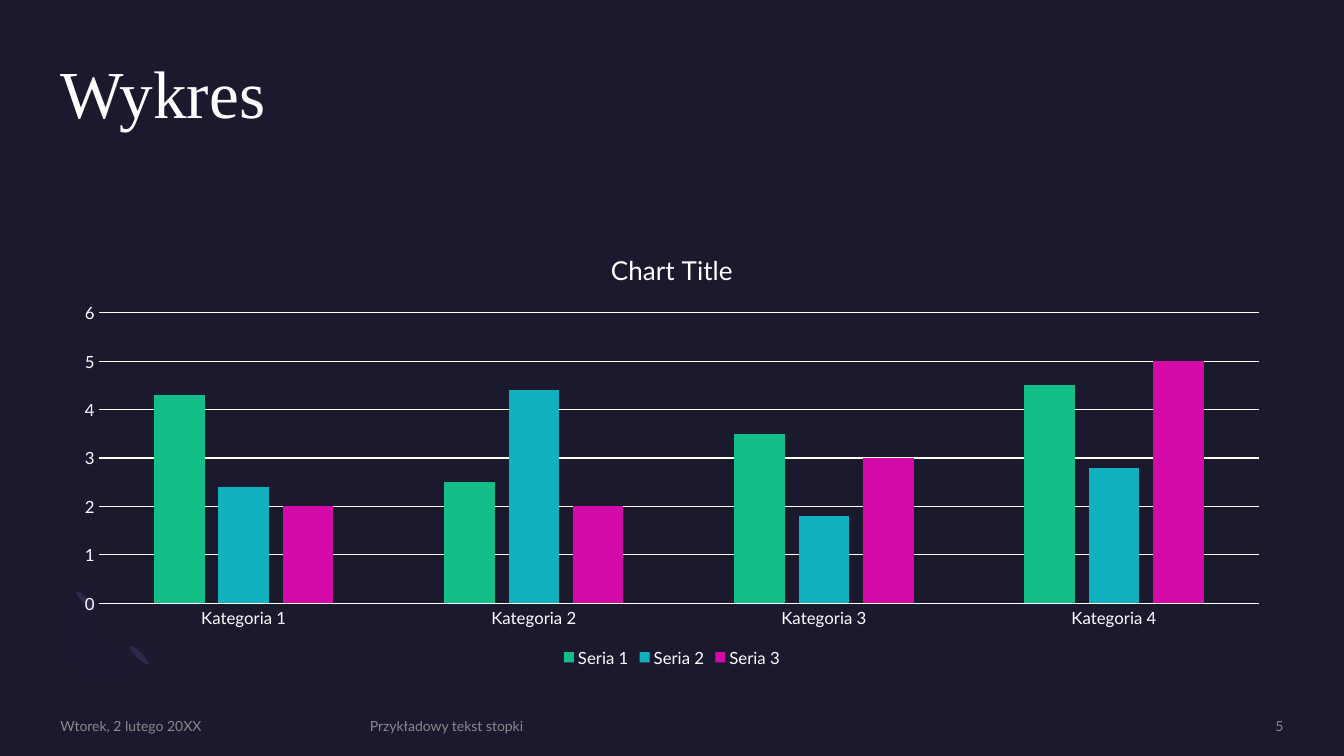
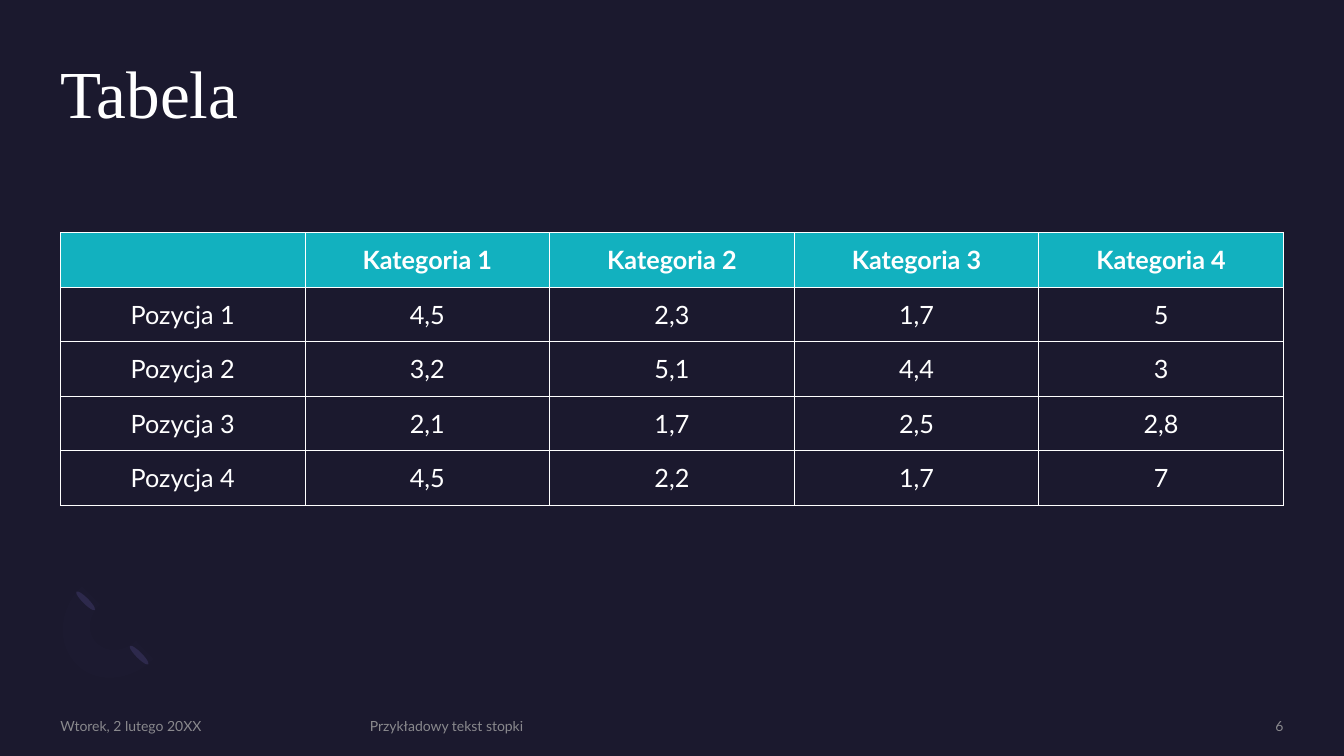
"""Builds a chart slide and a table slide on one dark layout."""
import dataclasses
import typing

import lxml.etree
import pptx
import pptx.chart.data
import pptx.dml.color
import pptx.enum.chart
import pptx.enum.shapes
import pptx.enum.text
import pptx.oxml.ns
import pptx.presentation
import pptx.shapes.autoshape
import pptx.shapes.group
import pptx.slide
import pptx.table
import pptx.text.text
import pptx.util

Pt = pptx.util.Pt
qn = pptx.oxml.ns.qn
Align = pptx.enum.text.PP_ALIGN
Anchor = pptx.enum.text.MSO_ANCHOR
Point = tuple[float, float]

BACKGROUND, WHITE, GRAY = "1B192E", "FFFFFF", "A6A6A6"
GREEN, TEAL, MAGENTA = "13BE89", "12B1BF", "D40AA8"
PETAL, RING = "2C284A", "7771B2"
BODY_FONT, TITLE_FONT = "Lato", "Times New Roman"
SLIDE_WIDTH, SLIDE_HEIGHT = 960, 540
MARGIN = 43.2
CONTENT_WIDTH = SLIDE_WIDTH - 2 * MARGIN
CONTENT_TOP, CHART_HEIGHT, ROW_HEIGHT = 166.3, 313.2, 38.9
RULE_WIDTH = 0.75


@dataclasses.dataclass(frozen=True)
class Box:
    left: float
    top: float
    width: float
    height: float

    def lengths(self) -> list[pptx.util.Length]:
        return [Pt(value) for value in dataclasses.astuple(self)]


@dataclasses.dataclass(frozen=True)
class FooterItem:
    box: Box
    text: str
    align: Align = Align.LEFT


@dataclasses.dataclass(frozen=True)
class Series:
    name: str
    values: tuple[float, ...]
    color: str


TITLE_BOX = Box(MARGIN, MARGIN, CONTENT_WIDTH, 105.1)
FOOTER_TOP, FOOTER_HEIGHT = 512.6, 12.2
PETALS = [Box(97.2, 458.6, 4.3, 18.7), Box(59, 419.8, 4.3, 18.7)]
RING_START = (54.7, 474.5)
RING_SEGMENTS: list[tuple[Point, ...]] = [
    ((40.3, 460.1), (41.8, 435.6), (58.3, 419)),
    ((71.3, 432),),
    ((62.6, 439.9), (61.9, 452.9), (69.1, 459.4)),
    ((76.3, 466.6), (88.6, 465.8), (97.2, 457.9)),
    ((109.4, 470.9),),
    ((93.6, 486.7), (68.4, 488.9), RING_START),
]
CATEGORIES = [f"Kategoria {number}" for number in range(1, 5)]
SERIES = [
    Series("Seria 1", (4.3, 2.5, 3.5, 4.5), GREEN),
    Series("Seria 2", (2.4, 4.4, 1.8, 2.8), TEAL),
    Series("Seria 3", (2, 2, 3, 5), MAGENTA),
]
TABLE_ROWS = [
    ["", *CATEGORIES],
    ["Pozycja 1", "4,5", "2,3", "1,7", "5"],
    ["Pozycja 2", "3,2", "5,1", "4,4", "3"],
    ["Pozycja 3", "2,1", "1,7", "2,5", "2,8"],
    ["Pozycja 4", "4,5", "2,2", "1,7", "7"],
]


def rgb(color: str) -> pptx.dml.color.RGBColor:
    return pptx.dml.color.RGBColor.from_string(color)


def paint(target: typing.Any, color: str) -> None:
    target.fill.solid()
    target.fill.fore_color.rgb = rgb(color)


def style_font(font: pptx.text.text.Font, size: float, color: str = WHITE,
               name: str = BODY_FONT, bold: bool = False) -> None:
    font.size, font.name, font.bold = Pt(size), name, bold
    font.color.rgb = rgb(color)


def set_opacity(element: lxml.etree.ElementBase, percent: int) -> None:
    for color in element.iter(qn("a:srgbClr")):
        lxml.etree.SubElement(color, qn("a:alpha")).set("val", str(percent * 1000))


def clear_margins(frame: pptx.text.text.TextFrame) -> None:
    frame.margin_left = frame.margin_right = 0
    frame.margin_top = frame.margin_bottom = 0
    frame.word_wrap = True


def place(shape: typing.Any, box: Box) -> None:
    shape.left, shape.top, shape.width, shape.height = box.lengths()


def finish_shape(shape: pptx.shapes.autoshape.Shape, color: str) -> None:
    paint(shape, color)
    shape.line.fill.background()
    shape.shadow.inherit = False


def curve_points(start: Point, first: Point, second: Point, end: Point,
                 steps: int = 10) -> list[Point]:
    points = []
    for step in range(1, steps + 1):
        t = step / steps
        weights = ((1 - t) ** 3, 3 * t * (1 - t) ** 2, 3 * t * t * (1 - t), t ** 3)
        controls = (start, first, second, end)
        points.append(tuple(sum(weight * control[axis]
                                for weight, control in zip(weights, controls))
                            for axis in (0, 1)))
    return points


def draw_ornament(slide: pptx.slide.Slide) -> pptx.shapes.group.GroupShape:
    group = slide.shapes.add_group_shape()
    for box in PETALS:
        petal = group.shapes.add_shape(pptx.enum.shapes.MSO_SHAPE.OVAL, *box.lengths())
        petal.rotation = 135
        finish_shape(petal, PETAL)
    outline = [RING_START]
    for segment in RING_SEGMENTS:
        outline += curve_points(outline[-1], *segment) if len(segment) == 3 else segment
    corners = [(Pt(x), Pt(y)) for x, y in outline]
    builder = group.shapes.build_freeform(*corners[0])
    builder.add_line_segments(corners[1:], close=True)
    ring = builder.convert_to_shape()
    finish_shape(ring, RING)
    set_opacity(ring.element, 2)
    return group


def move_to_layout(group: pptx.shapes.group.GroupShape,
                   layout: pptx.slide.SlideLayout) -> None:
    for properties in group.element.iter(qn("p:cNvPr")):
        properties.set("id", str(int(properties.get("id")) + 100))
    layout.shapes.element.insert(2, group.element)


def set_title(slide: pptx.slide.Slide, text: str) -> None:
    title = slide.shapes.title
    place(title, TITLE_BOX)
    frame = title.text_frame
    clear_margins(frame)
    frame.vertical_anchor = Anchor.TOP
    frame.auto_size = pptx.enum.text.MSO_AUTO_SIZE.NONE
    frame.text = text
    paragraph = frame.paragraphs[0]
    paragraph.alignment, paragraph.line_spacing = Align.LEFT, 0.9
    style_font(paragraph.runs[0].font, 48, name=TITLE_FONT)


def add_footer(slide: pptx.slide.Slide, number: int) -> None:
    items = [
        FooterItem(Box(MARGIN, FOOTER_TOP, 207.4, FOOTER_HEIGHT), "Wtorek, 2 lutego 20XX"),
        FooterItem(Box(264.2, FOOTER_TOP, 502.6, FOOTER_HEIGHT), "Przykładowy tekst stopki"),
        FooterItem(Box(783.4, FOOTER_TOP, 133.4, FOOTER_HEIGHT), str(number), Align.RIGHT),
    ]
    for item in items:
        shape = slide.shapes.add_textbox(*item.box.lengths())
        frame = shape.text_frame
        clear_margins(frame)
        frame.vertical_anchor = Anchor.MIDDLE
        frame.text = item.text
        paragraph = frame.paragraphs[0]
        paragraph.alignment = item.align
        style_font(paragraph.runs[0].font, 10, GRAY)
        set_opacity(shape.element, 80)


def style_line(line: typing.Any) -> None:
    line.color.rgb = rgb(WHITE)
    line.width = Pt(RULE_WIDTH)


def add_column_chart(slide: pptx.slide.Slide) -> None:
    data = pptx.chart.data.CategoryChartData()
    data.categories = CATEGORIES
    for series in SERIES:
        data.add_series(series.name, series.values)
    box = Box(MARGIN, CONTENT_TOP, CONTENT_WIDTH, CHART_HEIGHT)
    chart = slide.shapes.add_chart(pptx.enum.chart.XL_CHART_TYPE.COLUMN_CLUSTERED,
                                   *box.lengths(), data).chart
    style_font(chart.font, 10)
    chart.has_title = True
    title_frame = chart.chart_title.text_frame
    title_frame.text = "Chart Title"
    style_font(title_frame.paragraphs[0].runs[0].font, 18.6)
    chart.has_legend = True
    chart.legend.position = pptx.enum.chart.XL_LEGEND_POSITION.BOTTOM
    chart.legend.include_in_layout = False
    style_font(chart.legend.font, 12)
    for axis in (chart.category_axis, chart.value_axis):
        axis.major_tick_mark = axis.minor_tick_mark = pptx.enum.chart.XL_TICK_MARK.NONE
        style_font(axis.tick_labels.font, 12)
    style_line(chart.category_axis.format.line)
    value_axis = chart.value_axis
    value_axis.minimum_scale, value_axis.maximum_scale, value_axis.major_unit = 0, 6, 1
    value_axis.format.line.fill.background()
    value_axis.has_major_gridlines = True
    style_line(value_axis.major_gridlines.format.line)
    plot = chart.plots[0]
    plot.vary_by_categories = False
    plot.gap_width, plot.overlap = 219, -27
    for drawn, series in zip(plot.series, SERIES):
        paint(drawn.format, series.color)


def set_borders(cell: pptx.table._Cell) -> None:
    properties = cell._tc.get_or_add_tcPr()
    for side in ("a:lnL", "a:lnR", "a:lnT", "a:lnB"):
        line = lxml.etree.SubElement(properties, qn(side), w=str(Pt(RULE_WIDTH)))
        fill = lxml.etree.SubElement(line, qn("a:solidFill"))
        lxml.etree.SubElement(fill, qn("a:srgbClr"), val=WHITE)


def fill_cell(cell: pptx.table._Cell, text: str, is_header: bool) -> None:
    set_borders(cell)
    if is_header:
        paint(cell, TEAL)
    else:
        cell.fill.background()
    cell.vertical_anchor = Anchor.MIDDLE
    cell.text_frame.text = text
    paragraph = cell.text_frame.paragraphs[0]
    paragraph.alignment = Align.CENTER
    for run in paragraph.runs:
        style_font(run.font, 18, bold=is_header)


def add_value_table(slide: pptx.slide.Slide) -> None:
    row_count, column_count = len(TABLE_ROWS), len(TABLE_ROWS[0])
    box = Box(MARGIN, CONTENT_TOP, CONTENT_WIDTH, ROW_HEIGHT * row_count)
    table = slide.shapes.add_table(row_count, column_count, *box.lengths()).table
    table.horz_banding = False
    for row_index, texts in enumerate(TABLE_ROWS):
        for column_index, text in enumerate(texts):
            fill_cell(table.cell(row_index, column_index), text, row_index == 0)


def build() -> pptx.presentation.Presentation:
    presentation = pptx.Presentation()
    presentation.slide_width, presentation.slide_height = Pt(SLIDE_WIDTH), Pt(SLIDE_HEIGHT)
    paint(presentation.slide_master.background, BACKGROUND)
    layout = presentation.slide_layouts.get_by_name("Title Only")
    contents = [("Wykres", add_column_chart), ("Tabela", add_value_table)]
    for number, (title, add_content) in enumerate(contents, start=5):
        slide = presentation.slides.add_slide(layout)
        set_title(slide, title)
        add_content(slide)
        add_footer(slide, number)
    move_to_layout(draw_ornament(presentation.slides[0]), layout)
    return presentation


build().save("out.pptx")
